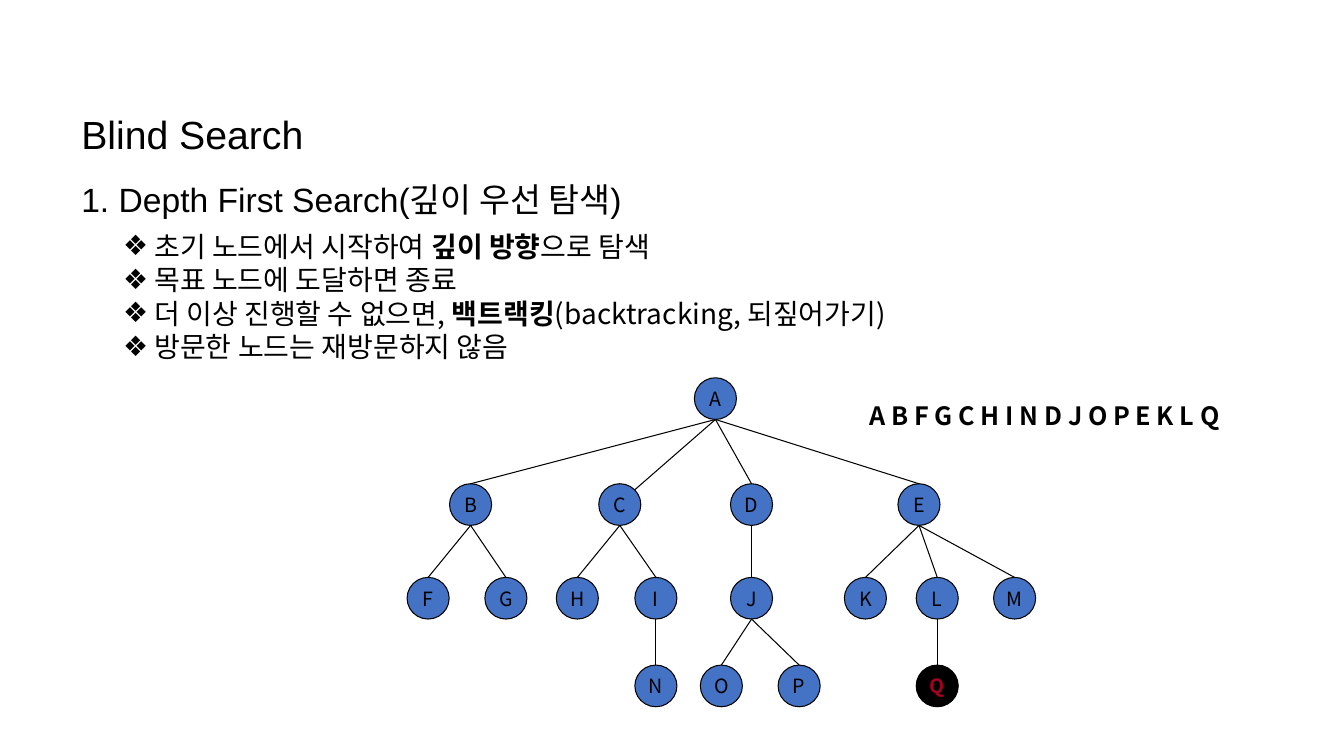
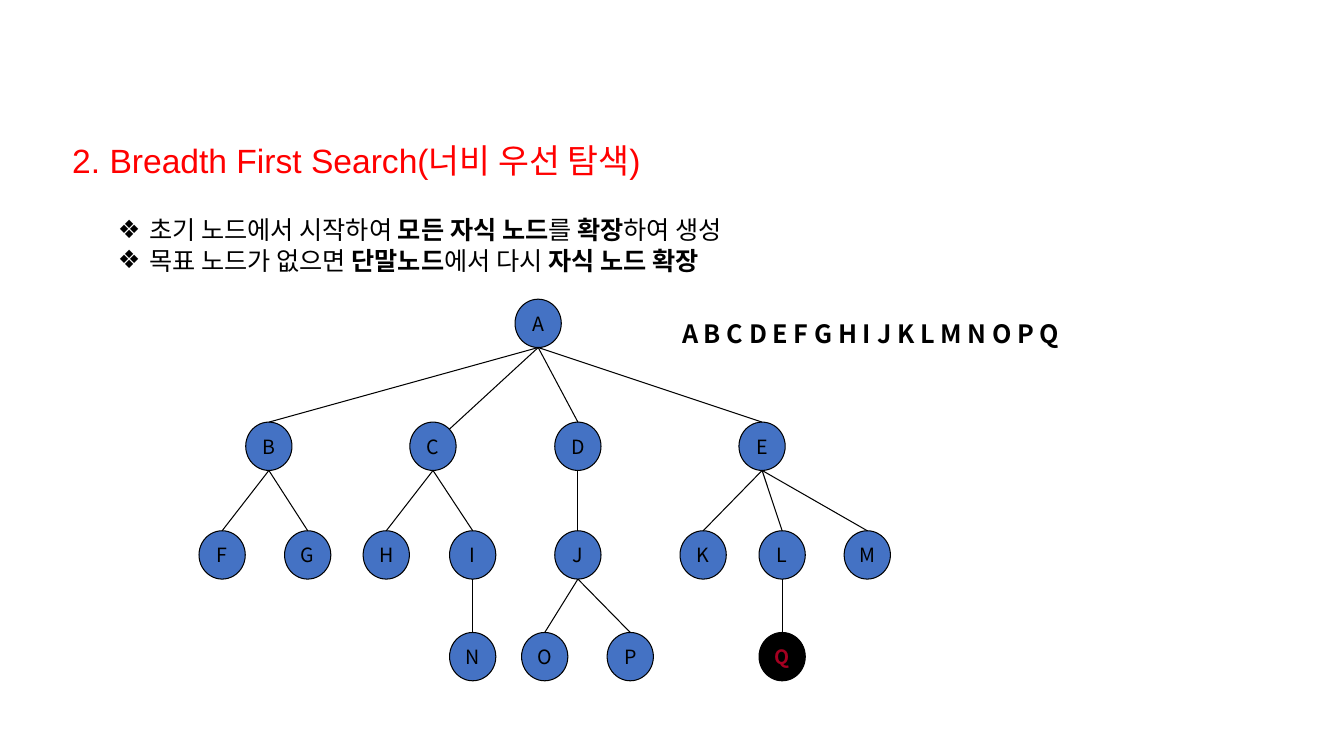
"""Build two slides on blind search: depth first and breadth first."""
from dataclasses import dataclass
from typing import Any

from lxml.etree import SubElement
from pptx import Presentation
from pptx.dml.color import RGBColor
from pptx.enum.shapes import MSO_CONNECTOR, MSO_SHAPE
from pptx.enum.text import MSO_ANCHOR, MSO_AUTO_SIZE, PP_ALIGN
from pptx.oxml.ns import qn
from pptx.util import Cm, Pt

HUES = {"ink": "000000", "node": "4472C4", "goal": "A50021", "alert": "FF0000"}
ARIAL = "Arial"
NOTO = "Noto Sans CJK KR"

NODE_W, NODE_H = 1.06, 1.05
ROWS = (0, 2.67, 5.03, 7.24)
GOAL = "Q"


@dataclass(frozen=True)
class Node:
    name: str
    row: int
    left: float
    root: str = ""


NODES = (
    Node("A", 0, 0),
    Node("B", 1, -6.17, "A"),
    Node("C", 1, -2.41, "A"),
    Node("D", 1, 0.91, "A"),
    Node("E", 1, 5.13, "A"),
    Node("F", 2, -7.24, "B"),
    Node("G", 2, -5.28, "B"),
    Node("H", 2, -3.48, "C"),
    Node("I", 2, -1.5, "C"),
    Node("J", 2, 0.91, "D"),
    Node("K", 2, 3.78, "E"),
    Node("L", 2, 5.59, "E"),
    Node("M", 2, 7.54, "E"),
    Node("N", 3, -1.5, "I"),
    Node("O", 3, 0.15, "J"),
    Node("P", 3, 2.11, "J"),
    Node("Q", 3, 5.59, "L"),
)


@dataclass(frozen=True)
class Line:
    text: str
    size: float
    pitch: float
    font: str = NOTO
    hue: str = "ink"
    bold: bool = False
    left: float = 0
    mark: str = ""


@dataclass(frozen=True)
class Block:
    box: tuple[float, float, float, float]
    lines: tuple[Line, ...]
    wrap: bool = True
    pad: tuple[float, float] = (0.25, 0.13)


@dataclass(frozen=True)
class Tree:
    left: float
    top: float
    wide: float = 1
    tall: float = 1


@dataclass(frozen=True)
class Page:
    title: Block
    body: Block
    order: Block
    tree: Tree


def bullet(text: str, size: float, pitch: float, left: float) -> Line:
    return Line(text, size, pitch, left=left, mark="❖")


def order(text: str, box: tuple[float, float, float, float]) -> Block:
    return Block(box, (Line(" ".join(text), 18, 21.6, bold=True),), wrap=False)


PAGES = (
    Page(
        Block((1.8, 2.08, 29.9, 3.4), (
            Line("Blind Search", 28, 50, ARIAL),
            Line("1. Depth First Search(깊이 우선 탐색)", 24, 44, ARIAL),
        )),
        Block((3.1, 5.77, 27, 3.43), tuple(bullet(text, 20, 24, 0.79) for text in (
            "초기 노드에서 시작하여 *깊이 방향*으로 탐색",
            "목표 노드에 도달하면 종료",
            "더 이상 진행할 수 없으면, *백트랙킹*(backtracking, 되짚어가기)",
            "방문한 노드는 재방문하지 않음",
        )), pad=(0, 0)),
        order("ABFGCHINDJOPEKLQ", (21.67, 9.96, 10.34, 1.02)),
        Tree(17.5, 9.52),
    ),
    Page(
        Block((1.57, 2.87, 15.5, 1.6), (
            Line("2. Breadth First Search(너비 우선 탐색)", 24, 44, ARIAL, "alert"),
        ), wrap=False),
        Block((1.45, 4.9, 19.25, 2.18), (
            bullet("초기 노드에서 시작하여 *모든 자식 노드*를 *확장*하여 생성", 18, 32.4, 2.06),
            bullet("목표 노드가 없으면 *단말노드*에서 다시 *자식 노드 확장*", 18, 21.6, 2.06),
        )),
        order("ABCDEFGHIJKLMNOPQ", (16.94, 7.9, 11.05, 1.02)),
        Tree(12.98, 7.54, 1.1, 1.16),
    ),
)


def apply(item: Any, form: dict[str, Any]) -> None:
    for key, value in form.items():
        setattr(item, key, value)


def color(name: str) -> RGBColor:
    return RGBColor.from_string(HUES[name])


def add_run(para: Any, text: str, size: float, font: str, hue: str, bold: bool) -> None:
    run = para.add_run()
    run.text = text
    apply(run.font, {"name": font, "size": Pt(size), "bold": bold})
    run.font.color.rgb = color(hue)
    SubElement(run.font._element, qn("a:ea")).set("typeface", NOTO)


def fill_text(shape: Any, block: Block) -> None:
    sides = ("left", "top", "width", "height")
    apply(shape, {side: Cm(size) for side, size in zip(sides, block.box)})
    frame = shape.text_frame
    across, down = map(Cm, block.pad)
    apply(frame, {
        "auto_size": MSO_AUTO_SIZE.NONE,
        "word_wrap": block.wrap,
        "vertical_anchor": MSO_ANCHOR.TOP,
        "margin_left": across,
        "margin_right": across,
        "margin_top": down,
        "margin_bottom": down,
    })
    for spot, line in enumerate(block.lines):
        para = frame.add_paragraph() if spot else frame.paragraphs[0]
        apply(para, {
            "alignment": PP_ALIGN.LEFT,
            "line_spacing": Pt(line.pitch),
            "space_before": Pt(0),
        })
        if line.mark:
            props = para._p.get_or_add_pPr()
            props.set("marL", str(Cm(line.left)))
            props.set("indent", str(-Cm(0.79)))
            SubElement(props, qn("a:buChar")).set("char", line.mark)
        for part, text in enumerate(line.text.split("*")):
            if text:
                add_run(para, text, line.size, line.font, line.hue,
                        line.bold or part % 2 == 1)


def draw_node(group: Any, node: Node, left: float, top: float,
              wide: float, tall: float) -> None:
    goal = node.name == GOAL
    oval = group.shapes.add_shape(
        MSO_SHAPE.OVAL, Cm(left), Cm(top), Cm(wide), Cm(tall))
    oval.shadow.inherit = False
    oval.fill.solid()
    oval.fill.fore_color.rgb = color("ink" if goal else "node")
    oval.line.color.rgb = color("ink")
    oval.line.width = Pt(0.75)
    apply(oval.text_frame, {
        "word_wrap": False,
        "vertical_anchor": MSO_ANCHOR.MIDDLE,
        "margin_left": 0,
        "margin_right": 0,
        "margin_top": 0,
        "margin_bottom": 0,
    })
    para = oval.text_frame.paragraphs[0]
    para.alignment = PP_ALIGN.CENTER
    add_run(para, node.name, 14, NOTO, "goal" if goal else "ink", goal)


def draw_edge(group: Any, start: tuple[float, float], end: tuple[float, float]) -> None:
    edge = group.shapes.add_connector(
        MSO_CONNECTOR.STRAIGHT, *map(Cm, start), *map(Cm, end))
    edge.line.color.rgb = color("ink")
    edge.line.width = Pt(0.75)
    SubElement(edge.element.spPr, qn("a:effectLst"))


def draw_tree(slide: Any, tree: Tree) -> None:
    group = slide.shapes.add_group_shape()
    wide, tall = NODE_W * tree.wide, NODE_H * tree.tall
    spots = {
        node.name: (tree.left + node.left * tree.wide,
                    tree.top + ROWS[node.row] * tree.tall)
        for node in NODES
    }
    for node in NODES:
        left, top = spots[node.name]
        draw_node(group, node, left, top, wide, tall)
        if node.root:
            from_x, from_y = spots[node.root]
            side, drop = (0.85, 0.15) if node.name == "C" else (0.5, 0)
            draw_edge(group, (from_x + wide / 2, from_y + tall),
                      (left + wide * side, top + tall * drop))


def main() -> None:
    deck = Presentation()
    apply(deck, {"slide_width": Cm(33.87), "slide_height": Cm(19.05)})
    for page in PAGES:
        slide = deck.slides.add_slide(deck.slide_layouts[1])
        fill_text(slide.shapes.title, page.title)
        fill_text(slide.placeholders[1], page.body)
        draw_tree(slide, page.tree)
        fill_text(slide.shapes.add_textbox(0, 0, 0, 0), page.order)
    deck.save("out.pptx")


if __name__ == "__main__":
    main()
